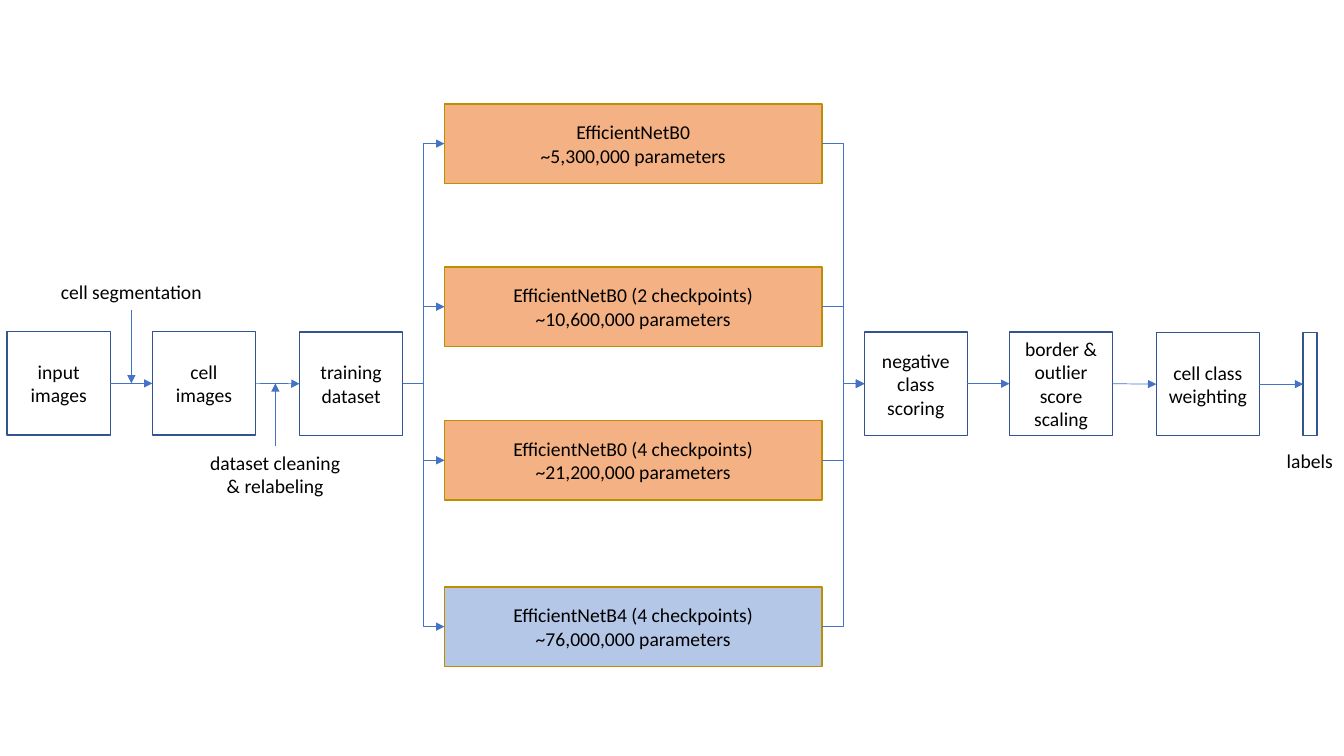
"""Build a slide with the cell classification pipeline."""
import pptx
import pptx.util
import pptx.dml.color
import pptx.enum.shapes
import pptx.enum.text
import lxml.etree
import pptx.oxml.ns

Cm = pptx.util.Cm
Pt = pptx.util.Pt
rgb = pptx.dml.color.RGBColor.from_string
qn = pptx.oxml.ns.qn
STRAIGHT = pptx.enum.shapes.MSO_CONNECTOR.STRAIGHT
ELBOW = pptx.enum.shapes.MSO_CONNECTOR.ELBOW
LEFT, RIGHT = 1, 3


def write(sp, text):
    tf = sp.text_frame
    tf.word_wrap = True
    tf.text = text
    for p in tf.paragraphs:
        p.alignment = pptx.enum.text.PP_ALIGN.CENTER
        for r in p.runs:
            r.font.name = "Calibri"
            r.font.size = Pt(14)
            r.font.color.rgb = rgb("000000")


def arrow(kind, x1=0, y1=0, x2=0, y2=0):
    c = s.shapes.add_connector(kind, Cm(x1), Cm(y1), Cm(x2), Cm(y2))
    c.line.color.rgb = rgb("4472C4")
    c.line.width = Pt(0.5)
    lxml.etree.SubElement(c.line._get_or_add_ln(), qn("a:tailEnd"), type="triangle")
    lxml.etree.SubElement(c._element.spPr, qn("a:effectLst"))
    return c


prs = pptx.Presentation()
prs.slide_width = Cm(33.87)
prs.slide_height = Cm(19.05)
s = prs.slides.add_slide(prs.slide_layouts[6])

side = 2.6
boxes = [
    ("input images", 0.18, 8.36, side, side, "FFFFFF", "325491"),
    ("cell images", 3.84, 8.36, side, side, "FFFFFF", "325491"),
    ("training dataset", 7.55, 8.37, side, side, "FFFFFF", "325491"),
    ("EfficientNetB0\n~5,300,000 parameters", 11.2, 2.62, 9.52, 2, "F4B183", "BD8E00"),
    ("EfficientNetB0 (2 checkpoints)\n~10,600,000 parameters", 11.2, 6.73, 9.52, 2, "F4B183", "BD8E00"),
    ("EfficientNetB0 (4 checkpoints)\n~21,200,000 parameters", 11.2, 10.6, 9.52, 2, "F4B183", "BD8E00"),
    ("EfficientNetB4 (4 checkpoints)\n~76,000,000 parameters", 11.2, 14.79, 9.52, 2, "B4C7E7", "BD8E00"),
    ("negative class scoring", 21.78, 8.37, side, side, "FFFFFF", "325491"),
    ("border & outlier score scaling", 25.44, 8.37, side, side, "FFFFFF", "325491"),
    ("cell class weighting", 29.14, 8.38, side, side, "FFFFFF", "325491"),
    ("", 32.84, 8.38, 0.35, side, "FFFFFF", "325491"),
]
shapes = []
for text, x, y, w, h, fill, line in boxes:
    sp = s.shapes.add_shape(pptx.enum.shapes.MSO_SHAPE.RECTANGLE, Cm(x), Cm(y), Cm(w), Cm(h))
    sp.shadow.inherit = False
    sp.fill.solid()
    sp.fill.fore_color.rgb = rgb(fill)
    sp.line.color.rgb = rgb(line)
    sp.line.width = Pt(1)
    sp.text_frame.vertical_anchor = pptx.enum.text.MSO_ANCHOR.MIDDLE
    write(sp, text)
    shapes.append(sp)

before, models, after = shapes[:3], shapes[3:7], shapes[7:]
links = [(STRAIGHT, a, b) for stages in (before, after) for a, b in zip(stages, stages[1:])]
links += [(ELBOW, before[-1], model) for model in models]
links += [(ELBOW, model, after[0]) for model in models]
for kind, start, end in links:
    c = arrow(kind)
    c.begin_connect(start, RIGHT)
    c.end_connect(end, LEFT)

arrow(STRAIGHT, 3.31, 7.8, 3.31, 9.66)
arrow(STRAIGHT, 6.94, 11.23, 6.94, 9.66)

captions = [
    ("cell segmentation", 0.61, 6.93, 5.4, 0.86, True),
    ("dataset cleaning & relabeling", 4.93, 11.23, 4.01, 1.45, True),
    ("labels", 32.16, 11.2, 1.7, 0.86, False),
]
for text, x, y, w, h, wrap in captions:
    sp = s.shapes.add_textbox(Cm(x), Cm(y), Cm(w), Cm(h))
    write(sp, text)
    sp.text_frame.word_wrap = wrap

prs.save("out.pptx")
